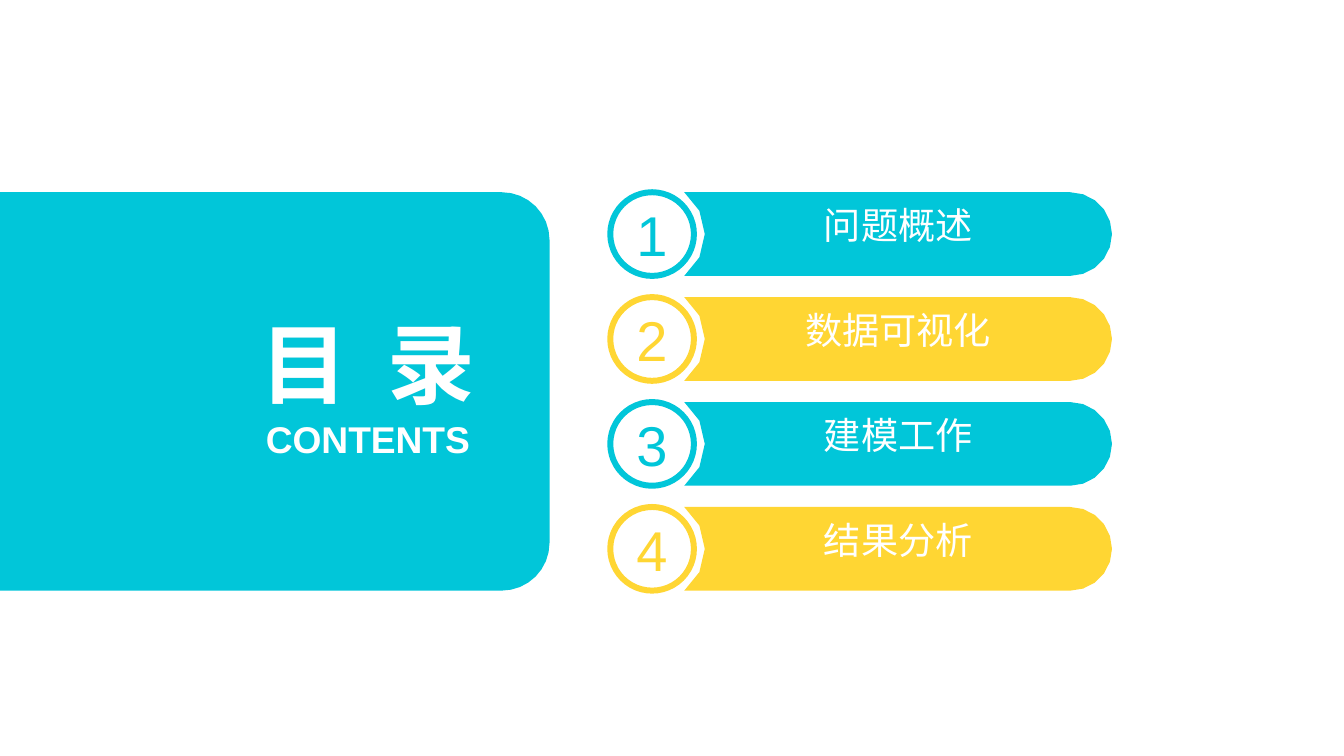
from dataclasses import dataclass
import math

from pptx import Presentation
from pptx import util as u
from pptx.dml.color import RGBColor
from pptx.enum import shapes, text

PX = 9525  # EMU per px
COLORS = {"cyan": "01C6D9", "yellow": "FFD633", "white": "FFFFFF"}
FONT = "Arial"

PANEL_TOP, PANEL_W, PANEL_H, PANEL_R = 193, 552, 400, 48
BAR_RIGHT, BAR_H = 1117, 84
DISC_LEFT, NOTCH_R = 613, 53

Point = tuple[float, float]


@dataclass
class Entry:
    title: str
    color: str


ENTRIES = [
    Entry("问题概述", "cyan"),
    Entry("数据可视化", "yellow"),
    Entry("建模工作", "cyan"),
    Entry("结果分析", "yellow"),
]


def px(value: float) -> u.Emu:
    return u.Emu(round(value * PX))


def rgb(name: str) -> RGBColor:
    return RGBColor.from_string(COLORS[name])


def arc(cx: float, cy: float, radius: float, start: float, end: float,
        steps: int) -> list[Point]:
    """Points along an arc, angles in degrees, clockwise from the right."""
    angles = [math.radians(start + (end - start) * i / steps) for i in range(steps + 1)]
    return [(cx + radius * math.cos(a), cy + radius * math.sin(a)) for a in angles]


def paint(sp, fill: str) -> None:
    sp.shadow.inherit = False
    sp.fill.solid()
    sp.fill.fore_color.rgb = rgb(fill)
    sp.line.fill.background()


def add_outline(s, points: list[Point], fill: str):
    start, *rest = [(px(x), px(y)) for x, y in points]
    builder = s.shapes.build_freeform(*start, scale=1.0)
    builder.add_line_segments(rest, close=True)
    sp = builder.convert_to_shape()
    paint(sp, fill)
    return sp


def write(sp, runs: list[str], size: float, color: str, bold: bool = False,
          anchor=text.MSO_ANCHOR.MIDDLE, bottom: int = 0):
    tf = sp.text_frame
    tf.word_wrap = True
    tf.vertical_anchor = anchor
    tf.margin_left = tf.margin_right = tf.margin_top = 0
    tf.margin_bottom = px(bottom)
    p = tf.paragraphs[0]
    p.alignment = text.PP_ALIGN.CENTER
    for words in runs:
        r = p.add_run()
        r.text = words
        r.font.name = FONT
        r.font.size = u.Pt(size)
        r.font.bold = bold
        r.font.color.rgb = rgb(color)
    return p


def add_panel(s) -> None:
    bottom, corner_x = PANEL_TOP + PANEL_H, PANEL_W - PANEL_R
    add_outline(s, [
        (0, PANEL_TOP),
        *arc(corner_x, PANEL_TOP + PANEL_R, PANEL_R, -90, 0, steps=8),
        *arc(corner_x, bottom - PANEL_R, PANEL_R, 0, 90, steps=8),
        (0, bottom),
    ], "cyan")


def add_entry(s, number: int, entry: Entry, top: float) -> None:
    # Bar with a rounded right end and a notch concentric with the disc
    half = BAR_H / 2
    middle = top + half
    notch = math.degrees(math.asin(half / NOTCH_R))
    bar = add_outline(s, [
        *arc(BAR_RIGHT - half, middle, half, -90, 90, steps=10),
        *arc(DISC_LEFT + half, middle, NOTCH_R, notch, -notch, steps=4),
    ], entry.color)
    write(bar, [entry.title], 28, "white", bottom=18)

    # Numbered disc
    disc = s.shapes.add_shape(shapes.MSO_SHAPE.OVAL, px(DISC_LEFT), px(top),
                              px(BAR_H), px(BAR_H))
    paint(disc, "white")
    disc.line.color.rgb = rgb(entry.color)
    disc.line.width = u.Pt(4.5)
    write(disc, [str(number)], 42.2, entry.color)


def add_heading(s) -> None:
    title = s.shapes.add_textbox(px(219), px(310), px(301), px(107))
    p = write(title, ["目 ", "录"], 66, "white", bold=True)
    # Tracking widens the gap between the two characters
    p.runs[0]._r.get_or_add_rPr().set("spc", "765")

    subtitle = s.shapes.add_textbox(px(220), px(418), px(299), px(45))
    write(subtitle, ["CONTENTS"], 28, "white", bold=True, anchor=text.MSO_ANCHOR.TOP)


def main() -> None:
    prs = Presentation()
    prs.slide_width, prs.slide_height = px(1350), px(759)
    s = prs.slides.add_slide(prs.slide_layouts[6])

    add_panel(s)
    # Entries spread evenly over the panel height
    pitch = (PANEL_H - BAR_H) / (len(ENTRIES) - 1)
    for i, entry in enumerate(ENTRIES):
        add_entry(s, i + 1, entry, PANEL_TOP + i * pitch)
    add_heading(s)

    prs.save("out.pptx")


if __name__ == "__main__":
    main()
